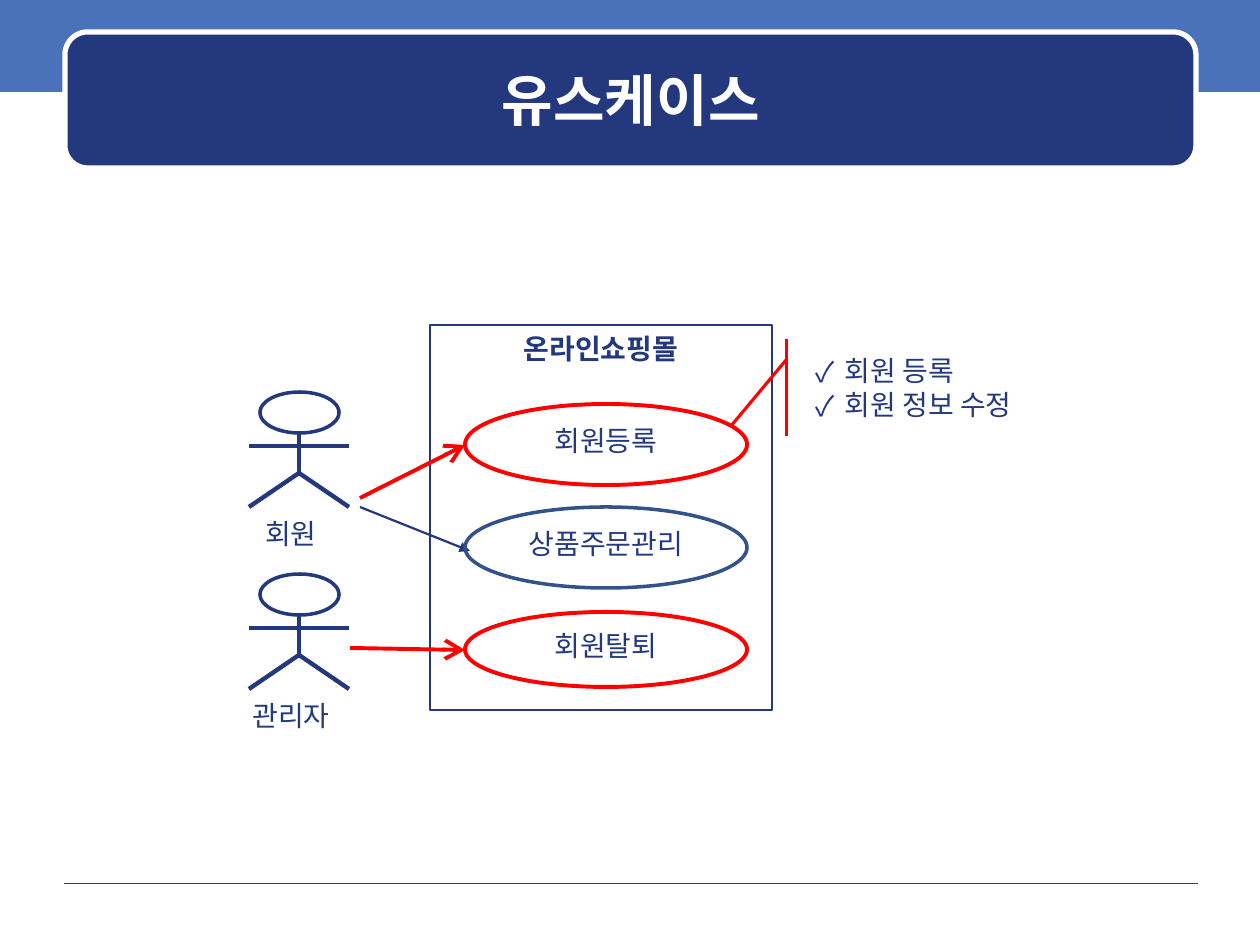
from dataclasses import dataclass

from lxml import etree
from pptx import Presentation
from pptx.dml.color import RGBColor
from pptx.enum.shapes import MSO_CONNECTOR, MSO_SHAPE
from pptx.enum.text import MSO_ANCHOR, PP_ALIGN
from pptx.oxml.ns import qn
from pptx.util import Pt

STRAIGHT = MSO_CONNECTOR.STRAIGHT
RECTANGLE = MSO_SHAPE.RECTANGLE
ROUNDED = MSO_SHAPE.ROUNDED_RECTANGLE
OVAL = MSO_SHAPE.OVAL
TOP, MIDDLE = MSO_ANCHOR.TOP, MSO_ANCHOR.MIDDLE
LEFT, CENTER = PP_ALIGN.LEFT, PP_ALIGN.CENTER
EMU_PER_PX = 914400 / 126
TITLE_ONLY = 5


@dataclass(frozen=True)
class Theme:
    navy: str = "23387D"
    band: str = "4972BB"
    rule: str = "404040"
    red: str = "FF0000"
    steel: str = "335289"
    white: str = "FFFFFF"
    title_font: str = "DejaVu Sans"
    body_font: str = "Noto Sans CJK KR"
    title_size: int = 32
    body_size: int = 16


THEME = Theme()


def px(value):
    return round(value * EMU_PER_PX)


def place(shape, left, top, width, height):
    shape.left, shape.top = px(left), px(top)
    shape.width, shape.height = px(width), px(height)


def write(shape, text, anchor=MIDDLE, align=CENTER, inset=13, spacing=None,
          bold=False, font=THEME.body_font, size=THEME.body_size,
          color=THEME.navy):
    frame = shape.text_frame
    frame.text = text
    frame.word_wrap = True
    frame.vertical_anchor = anchor
    frame.margin_left = frame.margin_right = px(inset)
    frame.margin_top = frame.margin_bottom = px(6)
    for paragraph in frame.paragraphs:
        paragraph.alignment = align
        if spacing:
            paragraph.line_spacing = spacing
        for run in paragraph.runs:
            run.font.name = font
            run.font.size = Pt(size)
            run.font.bold = bold
            run.font.color.rgb = RGBColor.from_string(color)
            east_asian = etree.SubElement(run.font._element, qn("a:ea"))
            east_asian.set("typeface", font)


def add_box(slide, kind, bounds, fill=None, line=None, weight=1):
    shape = slide.shapes.add_shape(kind, *(px(value) for value in bounds))
    shape.shadow.inherit = False
    if fill:
        shape.fill.solid()
        shape.fill.fore_color.rgb = RGBColor.from_string(fill)
    else:
        shape.fill.background()
    if line:
        shape.line.color.rgb = RGBColor.from_string(line)
        shape.line.width = Pt(weight)
    else:
        shape.line.fill.background()
    return shape


def add_line(slide, start, end, color, weight, arrow=None, arrow_size="med"):
    points = (px(value) for value in (*start, *end))
    line = slide.shapes.add_connector(STRAIGHT, *points)
    line.line.color.rgb = RGBColor.from_string(color)
    line.line.width = Pt(weight)
    if arrow:
        tail = etree.SubElement(line.line._get_or_add_ln(), qn("a:tailEnd"))
        tail.set("type", arrow)
        tail.set("w", arrow_size)
        tail.set("len", arrow_size)
    etree.SubElement(line._element.spPr, qn("a:effectLst"))


def add_text(slide, bounds, text, **style):
    box = slide.shapes.add_textbox(*(px(value) for value in bounds))
    write(box, text, **style)
    return box


def add_header(slide, text):
    add_box(slide, RECTANGLE, (0, -4, 1260, 96), fill=THEME.band)
    add_line(slide, (64, 883), (1198, 883), THEME.rule, 0.5)
    panel = add_box(slide, ROUNDED, (65, 32, 1131, 136), THEME.navy, THEME.white, 3)
    panel.adjustments[0] = 0.167
    title = slide.shapes.title
    place(title, 76, 44, 1110, 111)
    write(title, text, bold=True, font=THEME.title_font,
          size=THEME.title_size, color=THEME.white)
    panel._element.addnext(title._element)


def add_actor(slide, top, name):
    """Draw a stick figure whose head starts at top, with its name below."""
    left, middle, right = 249, 299, 349
    hip, foot = top + 81, top + 115
    add_box(slide, OVAL, (260, top, 79, 41), line=THEME.navy, weight=2)
    limbs = [
        ((middle, top + 41), (middle, hip)),
        ((left, top + 54), (right, top + 54)),
        ((middle, hip), (left, foot)),
        ((middle, hip), (right, foot)),
    ]
    for start, end in limbs:
        add_line(slide, start, end, THEME.navy, 2.5)
    add_text(slide, (231, top + 119, 120, 47), name, anchor=TOP, inset=0)


def add_use_case(slide, top, height, name, color, weight):
    oval = add_box(slide, OVAL, (465, top, 282, height), line=color, weight=weight)
    write(oval, name, inset=0, spacing=0.7)


def add_callout(slide, items):
    add_line(slide, (731, 426), (787, 359), THEME.red, 1.75)
    add_line(slide, (787, 339), (787, 436), THEME.red, 1.75)
    box = add_text(slide, (803, 339, 241, 97), "\n".join(items), align=LEFT)
    for paragraph in box.text_frame.paragraphs:
        properties = paragraph._p.get_or_add_pPr()
        properties.set("marL", str(px(29)))
        properties.set("indent", str(px(-29)))
        bullet_color = etree.SubElement(properties, qn("a:buClr"))
        etree.SubElement(bullet_color, qn("a:srgbClr")).set("val", THEME.navy)
        bullet_font = etree.SubElement(properties, qn("a:buFont"))
        bullet_font.set("typeface", THEME.body_font)
        etree.SubElement(properties, qn("a:buChar")).set("char", "✓")


def main():
    presentation = Presentation()
    presentation.slide_width, presentation.slide_height = px(1260), px(945)
    slide = presentation.slides.add_slide(presentation.slide_layouts[TITLE_ONLY])

    add_header(slide, "유스케이스")
    system = add_box(slide, RECTANGLE, (430, 325, 342, 385), line=THEME.navy, weight=1.25)
    write(system, "온라인쇼핑몰", anchor=TOP, bold=True)
    add_callout(slide, ["회원 등록", "회원 정보 수정"])

    add_actor(slide, 392, "회원")
    add_actor(slide, 574, "관리자")

    add_use_case(slide, 404, 81, "회원등록", THEME.red, 2.25)
    add_use_case(slide, 612, 75, "회원탈퇴", THEME.red, 2.25)
    add_line(slide, (360, 498), (465, 445), THEME.red, 2.25, "arrow", "lg")
    add_line(slide, (350, 648), (465, 650), THEME.red, 2.25, "arrow", "lg")
    add_line(slide, (360, 507), (470, 551), THEME.navy, 1.25, "triangle")
    add_use_case(slide, 507, 81, "상품주문관리", THEME.steel, 2)

    presentation.save("out.pptx")


if __name__ == "__main__":
    main()
